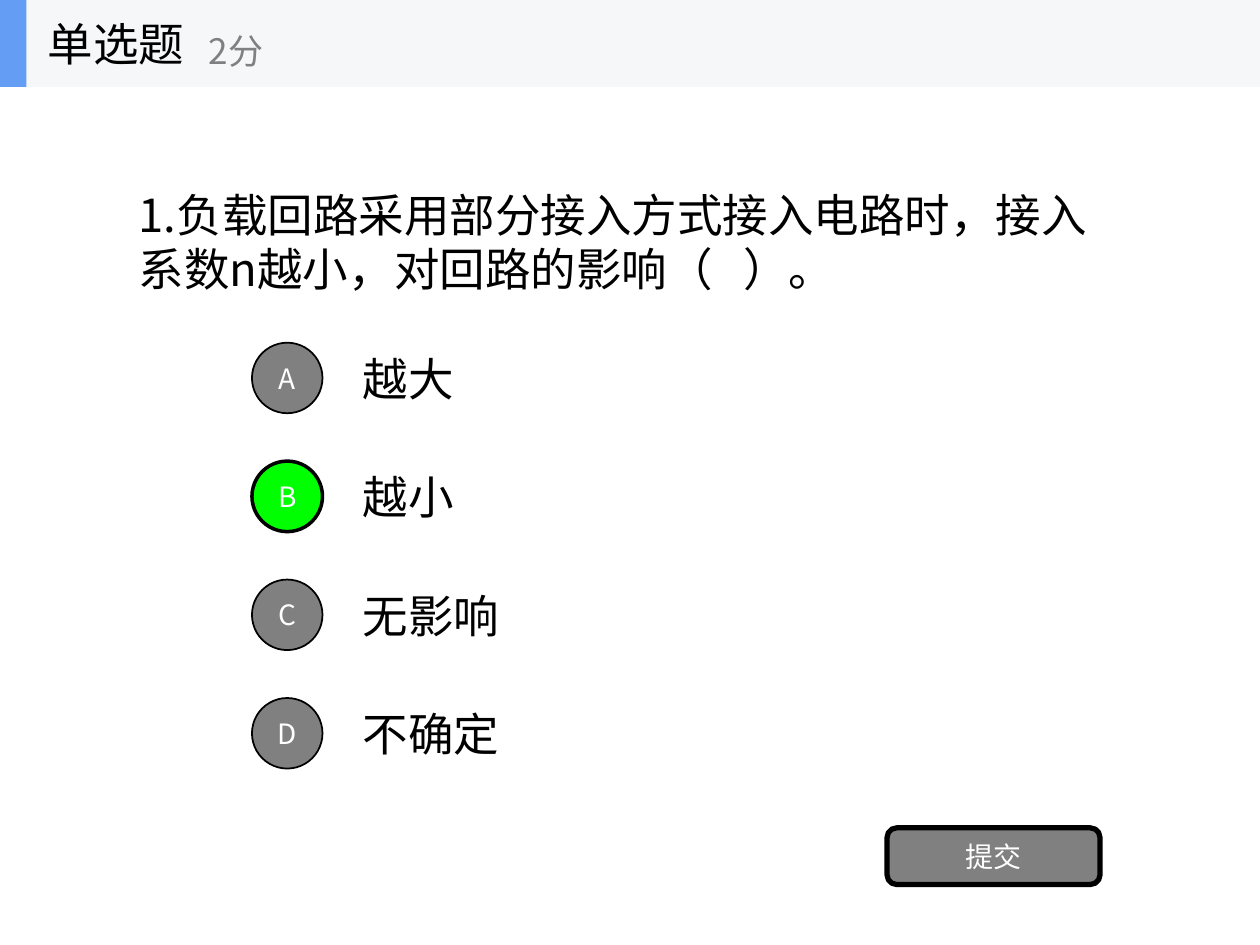
from lxml import etree
from pptx import Presentation
from pptx.dml.color import RGBColor
from pptx.enum.shapes import MSO_SHAPE
from pptx.enum.text import MSO_ANCHOR, MSO_AUTO_SIZE, PP_ALIGN
from pptx.oxml.ns import qn
from pptx.util import Inches, Pt

RECT, OVAL, ROUNDED = MSO_SHAPE.RECTANGLE, MSO_SHAPE.OVAL, MSO_SHAPE.ROUNDED_RECTANGLE
MIDDLE = MSO_ANCHOR.MIDDLE
LEFT, CENTER = PP_ALIGN.LEFT, PP_ALIGN.CENTER
NO_AUTOFIT = MSO_AUTO_SIZE.NONE

FONT = "Noto Sans CJK SC"
COLORS = {
    "text": "000000",
    "outline": "000000",
    "muted": "808080",
    "selected": "00FF00",
    "on_fill": "FFFFFF",
    "header": "F6F7F8",
    "accent": "639EF4",
}
QUESTION = "1.负载回路采用部分接入方式接入电路时，接入系数n越小，对回路的影响（   ）。"
OPTIONS = [("A", "越大"), ("B", "越小"), ("C", "无影响"), ("D", "不确定")]
SELECTED = "B"


def rgb(color):
    return RGBColor.from_string(COLORS[color])


def write(shape, text, size, color, align=LEFT, inset=(0.1, 0.05)):
    """Put one run of vertically centred text into a shape."""
    frame = shape.text_frame
    frame.word_wrap = True
    frame.auto_size = NO_AUTOFIT
    frame.vertical_anchor = MIDDLE
    frame.margin_left = frame.margin_right = Inches(inset[0])
    frame.margin_top = frame.margin_bottom = Inches(inset[1])
    paragraph = frame.paragraphs[0]
    paragraph.alignment = align
    run = paragraph.add_run()
    run.text = text
    run.font.size = Pt(size)
    run.font.color.rgb = rgb(color)
    run.font.name = FONT
    east_asian = etree.SubElement(run.font._element, qn("a:ea"))
    east_asian.set("typeface", FONT)
    return paragraph


def add_label(slide, box, text, size, color):
    label = slide.shapes.add_textbox(*map(Inches, box))
    write(label, text, size, color)


def add_filled(slide, kind, box, fill, line_width=0):
    shape = slide.shapes.add_shape(kind, *map(Inches, box))
    shape.shadow.inherit = False
    shape.fill.solid()
    shape.fill.fore_color.rgb = rgb(fill)
    if line_width:
        shape.line.color.rgb = rgb("outline")
        shape.line.width = Pt(line_width)
    else:
        shape.line.fill.background()
    return shape


def add_question(slide, box):
    question = slide.shapes.title
    question.left, question.top, question.width, question.height = map(Inches, box)
    paragraph = write(question, QUESTION, 26, "text")
    paragraph.line_spacing = Pt(31)
    question.text_frame.margin_top = Inches(0.16)


def add_options(slide, left, top, width):
    pitch, row_height, diameter, label_offset = 0.94, 0.7, 0.56, 0.78
    for index, (letter, answer) in enumerate(OPTIONS):
        row_top = top + index * pitch
        chosen = letter == SELECTED
        add_label(slide, (left + label_offset, row_top, width - label_offset, row_height),
                  answer, 26, "text")
        circle_box = (left, row_top + (row_height - diameter) / 2, diameter, diameter)
        circle = add_filled(slide, OVAL, circle_box,
                            "selected" if chosen else "muted", 2 if chosen else 1)
        write(circle, letter, 16, "on_fill", CENTER, (0, 0))


def add_submit_button(slide, box):
    button = add_filled(slide, ROUNDED, box, "muted", 3)
    button.adjustments[0] = 0.17
    write(button, "提交", 16, "on_fill", CENTER, (0, 0))


def add_header(slide, left, top, width, height):
    add_filled(slide, RECT, (left, top, width, height), "header")
    add_filled(slide, RECT, (left, top, 0.21, height), "accent")
    add_label(slide, (left + 0.28, top, 2.08, height), "单选题", 26, "text")
    add_label(slide, (left + 1.56, top + 0.12, 2.5, 0.56), "2分", 20, "muted")


def main():
    prs = Presentation()
    prs.slide_width, prs.slide_height = Inches(10), Inches(7.5)
    title_only = prs.slide_layouts[5]
    slide = prs.slides.add_slide(title_only)
    add_question(slide, (1, 0.69, 8, 2.34))
    add_options(slide, 2, 2.65, 7.78)
    add_submit_button(slide, (7.04, 6.57, 1.69, 0.45))
    add_header(slide, 0, 0, 10, 0.69)
    prs.save("out.pptx")


if __name__ == "__main__":
    main()
